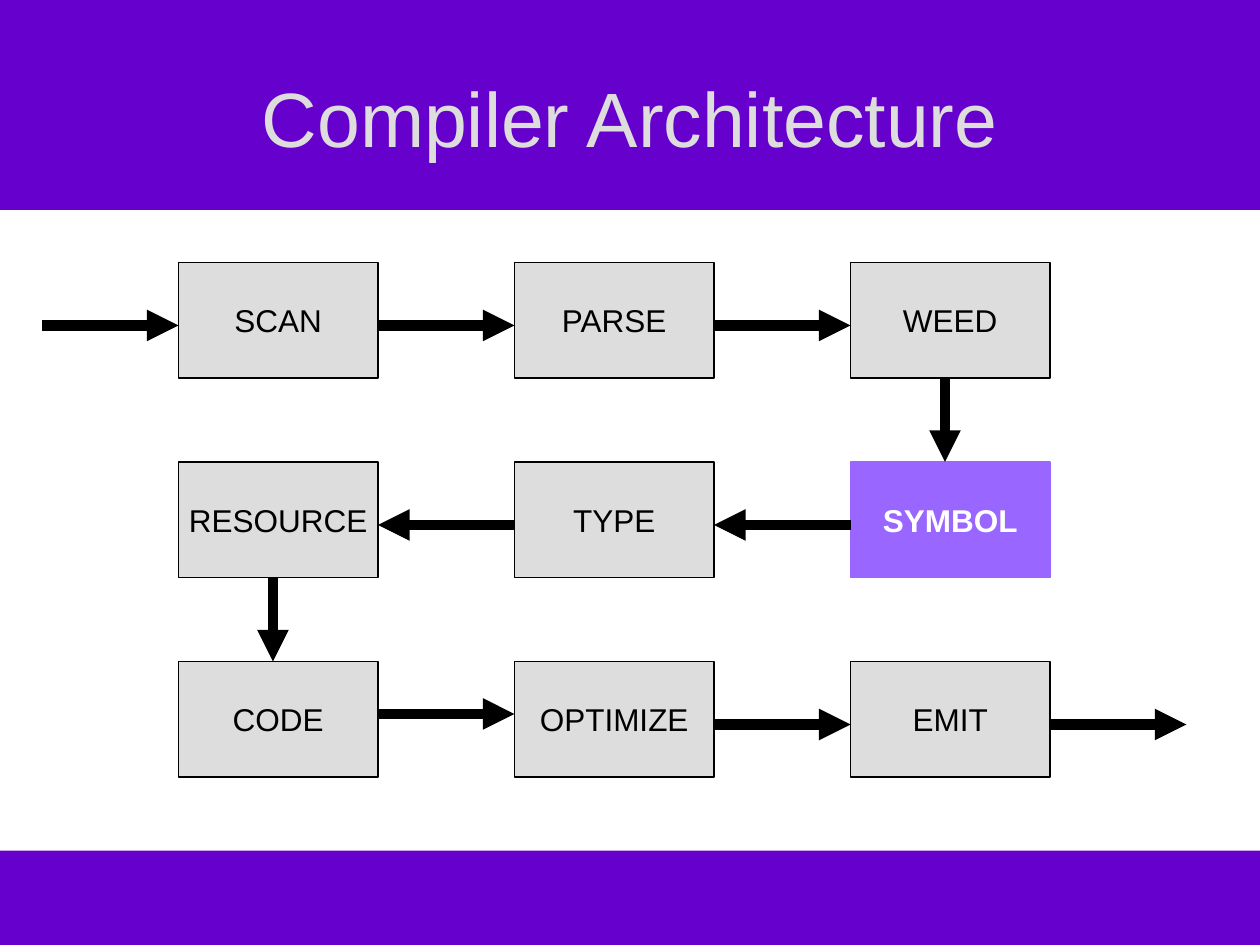
from lxml import etree
from pptx import Presentation
from pptx.dml.color import RGBColor
from pptx.enum.shapes import MSO_CONNECTOR, MSO_SHAPE
from pptx.enum.text import MSO_ANCHOR, PP_ALIGN
from pptx.oxml.ns import qn
from pptx.util import Inches, Pt

RECT = MSO_SHAPE.RECTANGLE
LINE = MSO_CONNECTOR.STRAIGHT
MIDDLE = MSO_ANCHOR.MIDDLE
CENTER = PP_ALIGN.CENTER


def color(code):
    return RGBColor.from_string(code)


def grid(units):
    """Length on a grid of twelfths of an inch."""
    return Inches(units / 12)


prs = Presentation()
prs.slide_width, prs.slide_height = Inches(10), Inches(7.5)
slide = prs.slides.add_slide(prs.slide_layouts[5])
title = slide.shapes.title

# Purple bands
for top, height in [(81, 9), (0, 20)]:
    band = slide.shapes.add_shape(RECT, 0, grid(top), Inches(10), grid(height))
    band.shadow.inherit = False
    band.fill.solid()
    band.fill.fore_color.rgb = color("6600CC")
    band.line.fill.background()

# Title, brought in front of the bands
slide.shapes._spTree.append(title._element)
title.left, title.top = Inches(0.5), Inches(0.3)
title.width, title.height = Inches(9), Inches(1.25)
title.text_frame.text = "Compiler Architecture"
title.text_frame.vertical_anchor = MIDDLE
head = title.text_frame.paragraphs[0]
head.alignment = CENTER
head.font.name = "Arial"
head.font.size = Pt(44)
head.font.color.rgb = color("DDDDDD")

# Compiler phases, three to a row
phases = [
    ["SCAN", "PARSE", "WEED"],
    ["RESOURCE", "TYPE", "SYMBOL"],
    ["CODE", "OPTIMIZE", "EMIT"],
]
lefts = [17, 49, 81]
tops = [25, 44, 63]
wide, high = 19, 11
for top, names in zip(tops, phases):
    for left, name in zip(lefts, names):
        active = name == "SYMBOL"
        box = slide.shapes.add_shape(
            RECT, grid(left), grid(top), grid(wide), grid(high))
        box.shadow.inherit = False
        box.fill.solid()
        box.fill.fore_color.rgb = color("9966FF" if active else "DDDDDD")
        box.line.color.rgb = color("9966FF" if active else "000000")
        box.line.width = Pt(0.75)
        frame = box.text_frame
        frame.word_wrap = False
        frame.vertical_anchor = MIDDLE
        frame.text = name
        para = frame.paragraphs[0]
        para.alignment = CENTER
        para.font.name = "Arial"
        para.font.size = Pt(18)
        para.font.bold = active
        para.font.color.rgb = color("FFFFFF" if active else "000000")

# Arrows along the rows and down between them, just off the box middles
gap = 13
first, second, third = [top + 6 for top in tops]
rights = [left + wide for left in lefts]
flows = [(left - gap, first, left, first) for left in lefts]
flows += [(left, second, left - gap, second) for left in lefts[1:]]
flows += [(right, third, right + gap, third) for right in rights[1:]]
flows.append((rights[0], third - 1, lefts[1], third - 1))
for left, row in [(lefts[2], 0), (lefts[0], 1)]:
    flows.append((left + 9, tops[row] + high, left + 9, tops[row + 1]))

for flow in flows:
    arrow = slide.shapes.add_connector(LINE, *[grid(end) for end in flow])
    arrow.line.color.rgb = color("000000")
    arrow.line.width = Pt(6)
    tail = etree.SubElement(arrow.line._get_or_add_ln(), qn("a:tailEnd"))
    tail.set("type", "triangle")
    etree.SubElement(arrow._element.spPr, qn("a:effectLst"))

prs.save("out.pptx")
